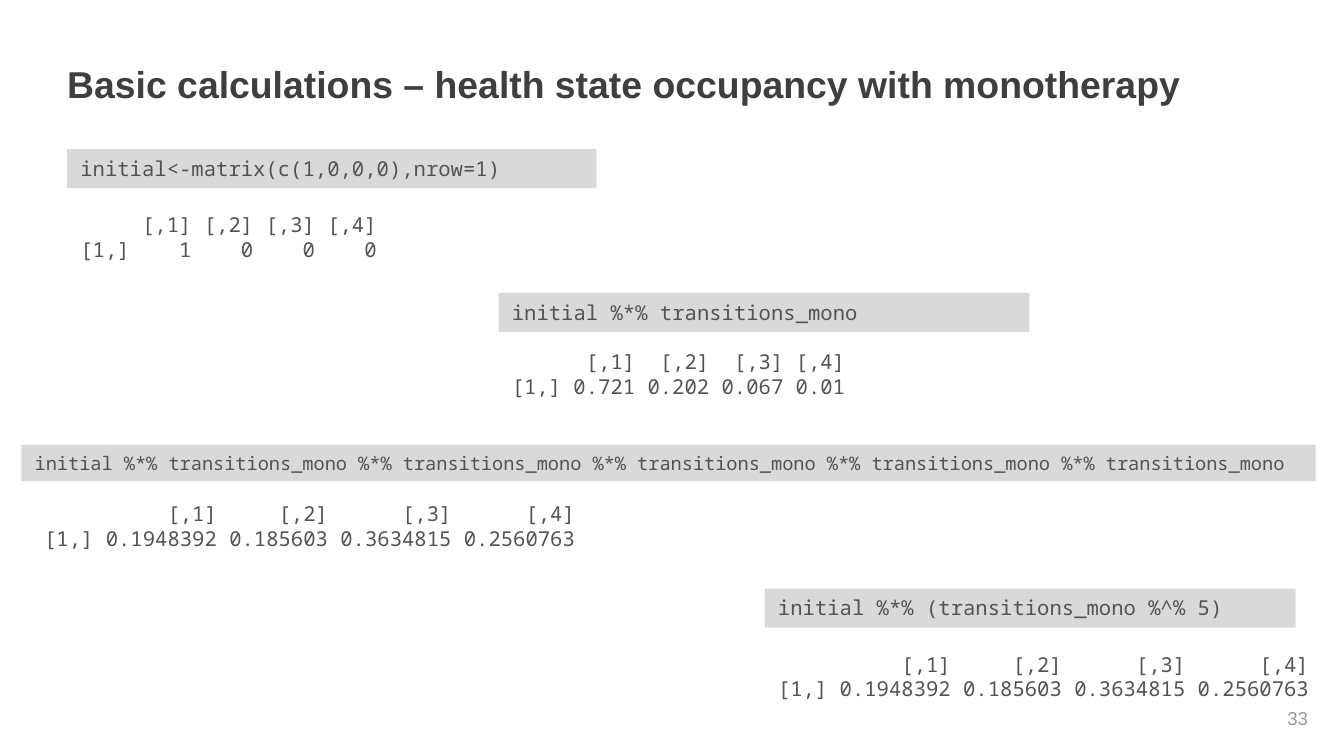
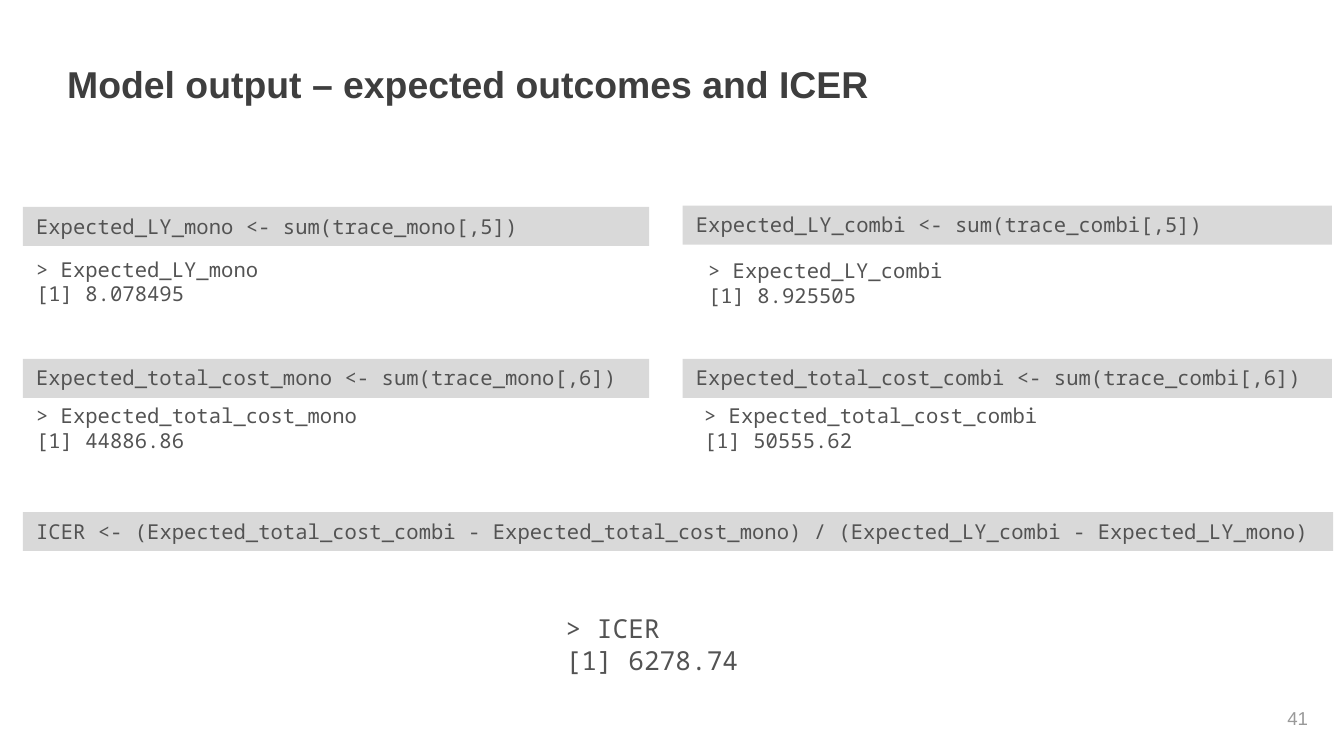
from dataclasses import dataclass

from pptx import Presentation
from pptx.dml.color import RGBColor
from pptx.enum.shapes import MSO_SHAPE as Preset
from pptx.enum.text import MSO_ANCHOR as Anchor, MSO_AUTO_SIZE as Fit, PP_ALIGN as Align
from pptx.util import Inches, Pt


@dataclass(frozen=True)
class Theme:
    heading: str = "3E3E3E"
    code: str = "535353"
    band: str = "D9D9D9"
    number: str = "999999"
    sans: str = "Arial"
    mono: str = "Noto Sans Mono"
    title_size: int = 20
    result_size: int = 14
    code_size: int = 11
    small_size: int = 10
    code_leading: float = 1.2


THEME = Theme()

# The slide is a grid of 100 columns; rows are as high as columns are wide
WIDTH, HEIGHT = Inches(10), Inches(5.625)
COLUMNS = 100
CELL = WIDTH // COLUMNS
BAND_ROWS, OUTPUT_ROWS, OUTPUT_COLUMNS = 2.9, 4.7, 50
LEFT, RIGHT = 1.7, 50.8


def grid(*cells):
    return [round(cell * CELL) for cell in cells]


def write(frame, text, *, size, color, font=THEME.mono, bold=False,
          align=Align.LEFT, anchor=Anchor.TOP, leading=None):
    """Fill a text frame, one paragraph for each line."""
    frame.word_wrap = True
    frame.vertical_anchor = anchor
    frame.text = text
    for line in frame.paragraphs:
        line.alignment = align
        if leading:
            line.line_spacing = Pt(size * leading)
        line.font.name, line.font.size, line.font.bold = font, Pt(size), bold
        line.font.color.rgb = RGBColor.from_string(color)


def write_code(shape, text, size):
    write(shape.text_frame, text, size=size, color=THEME.code,
          leading=THEME.code_leading)
    shape.text_frame.auto_size = Fit.SHAPE_TO_FIT_TEXT


def add_command(slide, text, column, row, columns, *, rows=BAND_ROWS,
                size=THEME.code_size):
    """Code on a grey band."""
    band = slide.shapes.add_shape(Preset.RECTANGLE, *grid(column, row, columns, rows))
    band.shadow.inherit = False
    band.fill.solid()
    band.fill.fore_color.rgb = RGBColor.from_string(THEME.band)
    band.line.fill.background()
    write_code(band, text, size)


def add_output(slide, text, column, row, columns=OUTPUT_COLUMNS, *,
               rows=OUTPUT_ROWS, size=THEME.code_size):
    """Console output, kept within the right edge of the slide."""
    columns = min(columns, COLUMNS - column)
    output = slide.shapes.add_textbox(*grid(column, row, columns, rows))
    write_code(output, text, size)


def add_titled_slide(deck, heading, number):
    slide = deck.slides.add_slide(deck.slide_layouts[5])
    title = slide.shapes.title
    title.left, title.top, title.width, title.height = grid(5, 0, 83.3, 12.5)
    frame = title.text_frame
    frame.margin_left = frame.margin_right = frame.margin_top = frame.margin_bottom = 0
    write(frame, heading, size=THEME.title_size, color=THEME.heading,
          font=THEME.sans, bold=True, anchor=Anchor.MIDDLE)
    frame.auto_size = Fit.NONE
    page = slide.shapes.add_textbox(*grid(92.9, 51.9, 5.4, 3))
    write(page.text_frame, str(number), size=THEME.small_size, color=THEME.number,
          font=THEME.sans, align=Align.RIGHT, anchor=Anchor.MIDDLE)
    return slide


def build_occupancy(deck):
    slide = add_titled_slide(
        deck, "Basic calculations – health state occupancy with monotherapy", 33)
    five_cycles = ("          [,1]     [,2]      [,3]      [,4]\n"
                   "[1,] 0.1948392 0.185603 0.3634815 0.2560763")

    # Starting state
    add_command(slide, "initial<-matrix(c(1,0,0,0),nrow=1)", 5, 11.1, 39.4)
    add_output(slide, "     [,1] [,2] [,3] [,4]\n[1,]    1    0    0    0",
               5, 15.3, 27.9)

    # One cycle
    add_command(slide, "initial %*% transitions_mono", 37.1, 21.8, 39.5)
    add_output(slide, "      [,1]  [,2]  [,3] [,4]\n[1,] 0.721 0.202 0.067 0.01",
               37.1, 25.5)

    # Five cycles, written out and as a power
    add_command(slide, "initial" + " %*% transitions_mono" * 5, 1.6, 33.1, 96.3,
                rows=2.7, size=THEME.small_size)
    add_output(slide, five_cycles, 2.3, 36.8)
    add_command(slide, "initial %*% (transitions_mono %^% 5)", 56.9, 43.8, 39.5)
    add_output(slide, five_cycles, 56.9, 48)


def build_outcomes(deck):
    slide = add_titled_slide(deck, "Model output – expected outcomes and ICER", 41)

    # Arm, outcome, trace column, value, band place and width, output place
    outcomes = [
        ("mono", "LY", 5, "8.078495", (LEFT, 15.4, 46.6), (LEFT, 18.6)),
        ("mono", "total_cost", 6, "44886.86", (LEFT, 26.7, 46.6), (LEFT, 29.5)),
        ("combi", "LY", 5, "8.925505", (RIGHT, 15.3, 48.3), (51.7, 18.7)),
        ("combi", "total_cost", 6, "50555.62", (RIGHT, 26.7, 48.3), (51.4, 29.5)),
    ]
    for arm, outcome, trace_column, value, band, output in outcomes:
        variable = f"Expected_{outcome}_{arm}"
        add_command(slide, f"{variable} <- sum(trace_{arm}[,{trace_column}])", *band)
        add_output(slide, f"> {variable}\n[1] {value}", *output)

    # Cost-effectiveness ratio
    add_command(slide, "ICER <- (Expected_total_cost_combi - Expected_total_cost_mono)"
                " / (Expected_LY_combi - Expected_LY_mono)", LEFT, 38.1, 97.5)
    add_output(slide, "> ICER\n[1] 6278.74", 41.1, 45.1, 21.1, rows=5.7,
               size=THEME.result_size)


def main():
    deck = Presentation()
    deck.slide_width, deck.slide_height = WIDTH, HEIGHT
    build_occupancy(deck)
    build_outcomes(deck)
    deck.save("out.pptx")


if __name__ == "__main__":
    main()
